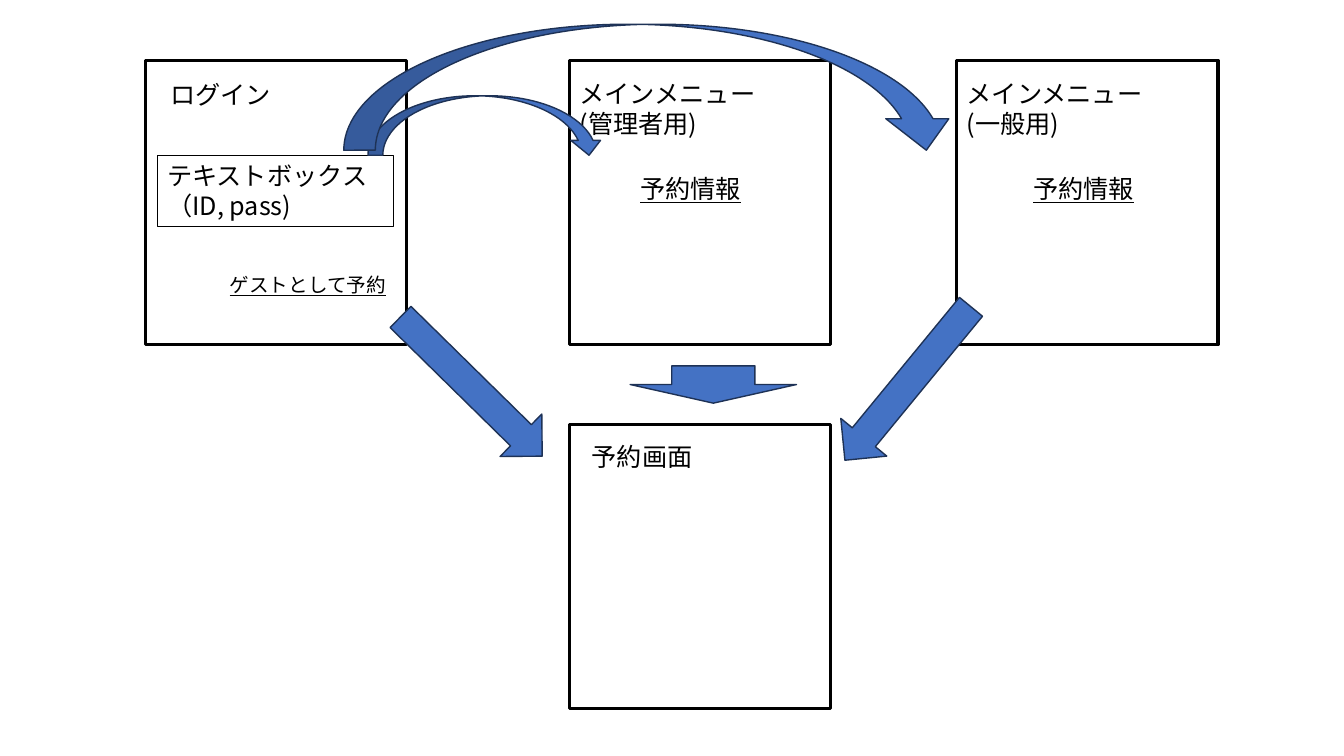
from pptx import Presentation
from pptx.dml.color import RGBColor
from pptx.enum.shapes import MSO_SHAPE as Geo
from pptx.enum.text import MSO_ANCHOR as Anchor, MSO_AUTO_SIZE as Auto, PP_ALIGN as Align
from pptx.oxml.ns import qn
from pptx.util import Inches, Pt
from lxml.etree import SubElement

BLACK = RGBColor(0x00, 0x00, 0x00)
WHITE = RGBColor(0xFF, 0xFF, 0xFF)
BLUE = RGBColor(0x44, 0x72, 0xC4)
NAVY = RGBColor(0x1E, 0x32, 0x56)
FONT = "Noto Sans CJK JP"


class Sketch:
    """Draws the screens, labels and arrows of a screen flow on one slide."""

    def __init__(self, slide):
        self.shapes = slide.shapes
        self.font = FONT
        self.ink = BLACK

    def shape(self, geo, box, fill, line, width, turn=0):
        item = self.shapes.add_shape(geo, *map(Inches, box))
        item.shadow.inherit = False
        item.fill.solid()
        item.fill.fore_color.rgb = fill
        item.line.color.rgb = line
        item.line.width = Pt(width)
        item.rotation = turn
        return item

    def screen(self, left, top):
        self.shape(Geo.RECTANGLE, (left, top, 2.59, 2.82), WHITE, self.ink, 2.25)

    def arrow(self, geo, box, turn=0):
        self.shape(geo, box, BLUE, NAVY, 1, turn)

    def text(self, text, box, size=18, under=None, border=None):
        item = self.shapes.add_textbox(*map(Inches, box))
        if border:
            item.line.color.rgb = self.ink
            item.line.width = Pt(border)
        frame = item.text_frame
        frame.word_wrap = True
        frame.auto_size = Auto.SHAPE_TO_FIT_TEXT
        frame.vertical_anchor = Anchor.TOP
        frame.text = text
        for para in frame.paragraphs:
            para.alignment = Align.LEFT
            for run in para.runs:
                font = run.font
                font.size = Pt(size)
                font.underline = under
                font.color.rgb = self.ink
                font.name = self.font
                SubElement(font._element, qn("a:ea"), typeface=self.font)


def main():
    deck = Presentation()
    deck.slide_width = Inches(13.33)
    deck.slide_height = Inches(7.5)
    art = Sketch(deck.slides.add_slide(deck.slide_layouts[6]))

    art.screen(1.44, 0.6)
    art.text("ログイン", (1.59, 0.74, 2.34, 0.42))
    art.text("テキストボックス\n（ID, pass)", (1.56, 1.54, 2.34, 0.71), border=0.75)
    art.text("ゲストとして予約", (2.18, 2.66, 2.22, 0.34), size=14, under=True)

    for user, left, link in (("管理者用", 5.65, 6.25), ("一般用", 9.49, 10.15)):
        art.screen(left, 0.6)
        art.text(f"メインメニュー\n({user})", (left, 0.73, 2.34, 0.71))
        art.text("予約情報", (link, 1.67, 1.29, 0.4), under=True)

    art.screen(5.65, 4.21)
    art.text("予約画面", (5.77, 4.33, 2.34, 0.42))

    art.arrow(Geo.CURVED_DOWN_ARROW, (3.65, 0.95, 2.34, 0.59))
    art.arrow(Geo.CURVED_DOWN_ARROW, (3.41, 0.24, 6.09, 1.25))
    art.arrow(Geo.RIGHT_ARROW, (3.69, 3.54, 1.97, 0.59), turn=44.5)
    art.arrow(Geo.DOWN_ARROW, (6.25, 3.63, 1.65, 0.37))
    art.arrow(Geo.RIGHT_ARROW, (8.02, 3.51, 1.97, 0.59), turn=129.4)

    deck.save("out.pptx")


if __name__ == "__main__":
    main()
